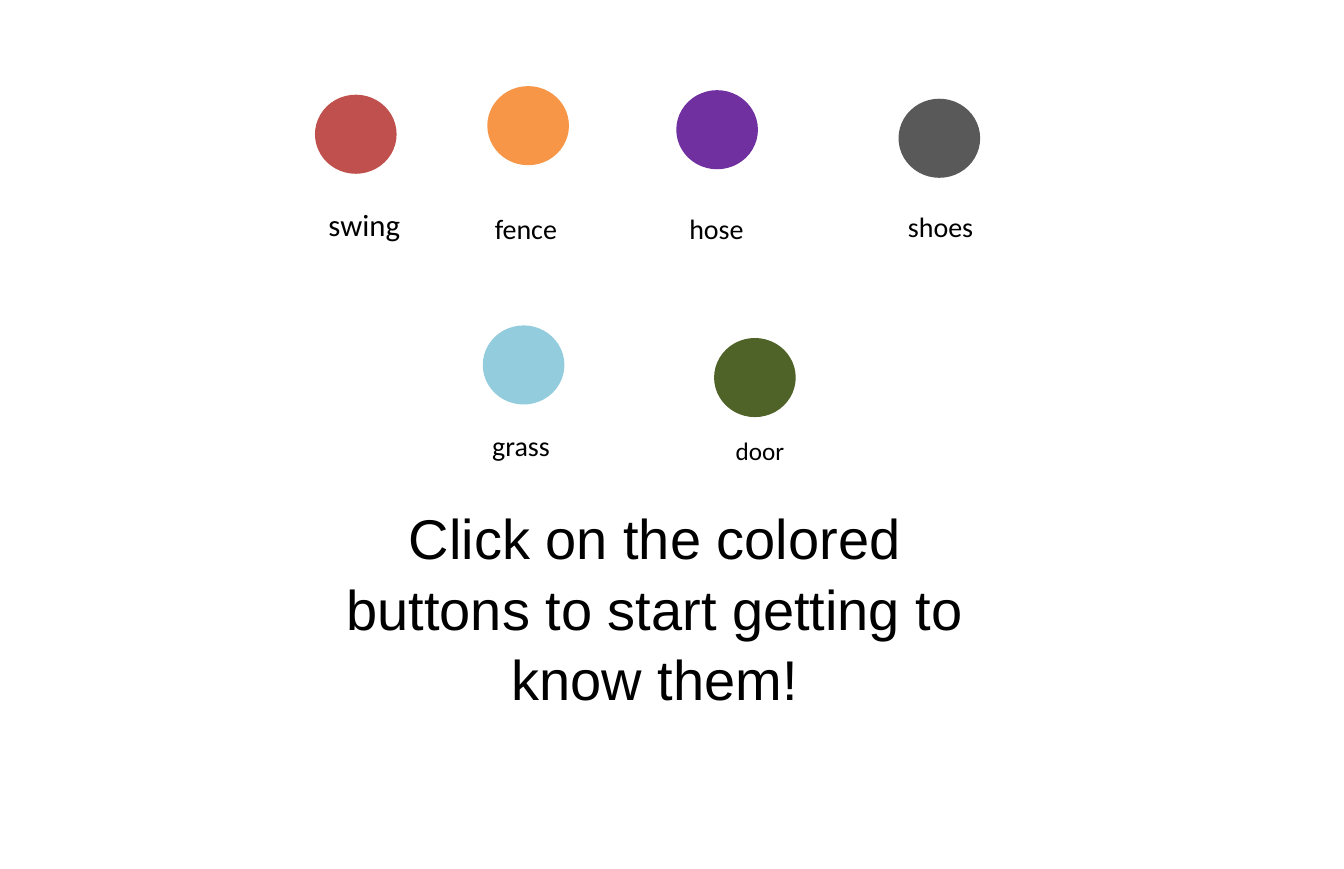
from pptx import Presentation
from pptx.dml.color import RGBColor
from pptx.enum.shapes import MSO_SHAPE
from pptx.enum.text import MSO_AUTO_SIZE, PP_ALIGN
from pptx.util import Inches, Pt

COLORS = {
    "background": "FFFFFF",
    "text": "000000",
    "swing": "C0504D",
    "fence": "F79646",
    "hose": "7030A0",
    "shoes": "595959",
    "grass": "93CDDD",
    "door": "4F6228",
}

BUTTON_SIZE = (1.62, 1.57)

BUTTONS = [
    ("swing", (6.25, 1.88), (6.42, 4.04, 3.67, 0.84), 44),
    ("fence", (9.67, 1.71), (9.72, 4.14, 2.28, 0.77), 40),
    ("hose", (13.42, 1.79), (13.58, 4.14, 3.54, 0.77), 40),
    ("shoes", (17.83, 1.96), (17.92, 4.11, 3.7, 0.77), 40),
    ("grass", (9.58, 6.46), (9.67, 8.46, 3.53, 0.77), 40),
    ("door", (14.17, 6.71), (14.5, 8.6, 2.31, 0.71), 36),
]


def rgb(name):
    return RGBColor.from_string(COLORS[name])


def add_text(s, text, box, size, font="Calibri", align=PP_ALIGN.LEFT, spacing=1.0):
    tf = s.shapes.add_textbox(*map(Inches, box)).text_frame
    tf.word_wrap = True
    tf.auto_size = MSO_AUTO_SIZE.SHAPE_TO_FIT_TEXT
    p = tf.paragraphs[0]
    p.alignment = align
    p.line_spacing = spacing
    r = p.add_run()
    r.text = text
    r.font.name = font
    r.font.size = Pt(size)
    r.font.color.rgb = rgb("text")


def add_button(s, name, corner, label_box, size):
    sp = s.shapes.add_shape(MSO_SHAPE.OVAL, *map(Inches, corner + BUTTON_SIZE))
    sp.shadow.inherit = False
    sp.fill.solid()
    sp.fill.fore_color.rgb = rgb(name)
    sp.line.fill.background()
    add_text(s, name, label_box, size)


def add_instruction(s, box):
    add_text(s, "Click on the colored buttons to start getting to know them!",
             box, 80, font="Arial", align=PP_ALIGN.CENTER, spacing=1.05)


def main():
    prs = Presentation()
    prs.slide_width = Inches(26.67)
    prs.slide_height = Inches(17.25)
    s = prs.slides.add_slide(prs.slide_layouts[6])
    s.background.fill.solid()
    s.background.fill.fore_color.rgb = rgb("background")
    for button in BUTTONS:
        add_button(s, *button)
    add_instruction(s, (6.33, 9.88, 13.33, 4.14))
    prs.save("out.pptx")


if __name__ == "__main__":
    main()
